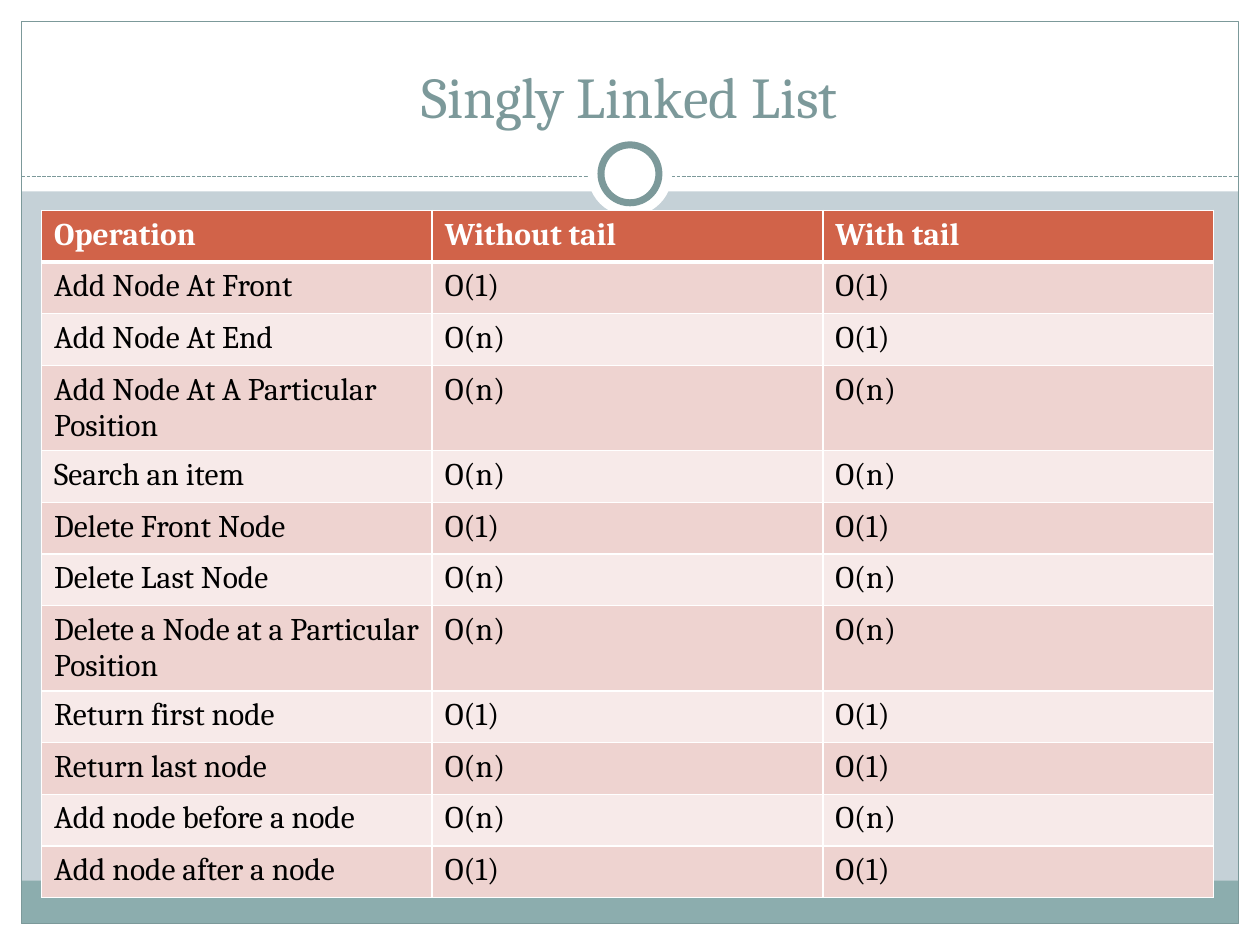
"""Build the slide that compares singly linked list costs with and without a tail."""
from dataclasses import dataclass
from typing import Any, Optional

from lxml.etree import SubElement
from pptx import Presentation
from pptx.dml.color import RGBColor
from pptx.enum.dml import MSO_LINE
from pptx.enum.shapes import MSO_CONNECTOR, MSO_SHAPE as Preset
from pptx.enum.text import MSO_ANCHOR, PP_ALIGN
from pptx.oxml.ns import qn
from pptx.util import Inches, Pt

WIDTH, HEIGHT = 10, 7.5
MARGIN = 0.17
INNER_WIDTH, INNER_HEIGHT = WIDTH - 2 * MARGIN, HEIGHT - 2 * MARGIN
DIVIDER_Y = 1.4
RING_Y = 1.38
TABLE_LEFT, TABLE_TOP = 0.33, 1.67
COLUMN_WIDTH, ROW_HEIGHT = 3.1, 0.41
FONT = "Cambria"

WHITE = RGBColor(0xFF, 0xFF, 0xFF)
BLACK = RGBColor(0x00, 0x00, 0x00)
BACKDROP = RGBColor(0xC5, 0xD1, 0xD7)
TEAL = RGBColor(0x7C, 0x99, 0x9A)
FOOTER_TEAL = RGBColor(0x8C, 0xAD, 0xAE)
HEADER_RUST = RGBColor(0xD1, 0x63, 0x49)
BANDS = RGBColor(0xF7, 0xEA, 0xE9), RGBColor(0xEE, 0xD3, 0xD0)

TITLE_FORMAT = {"name": FONT, "size": Pt(33), "bold": False}
HEADER_FORMAT = {"name": FONT, "size": Pt(18), "bold": True}
BODY_FORMAT = {"name": FONT, "size": Pt(18), "bold": False}


@dataclass(frozen=True)
class Panel:
    left: float
    top: float
    width: float
    height: float
    fill: Optional[RGBColor] = WHITE
    line_width: float = 0
    preset: Any = Preset.RECTANGLE


@dataclass(frozen=True)
class Cost:
    operation: str
    without_tail: str
    with_tail: str


def disc(diameter: float, line_width: float = 0) -> Panel:
    """Return a white disc centred on the divider ornament."""
    return Panel((WIDTH - diameter) / 2, RING_Y - diameter / 2, diameter, diameter,
                 line_width=line_width, preset=Preset.OVAL)


PANELS = (
    Panel(0, HEIGHT - MARGIN, WIDTH, MARGIN),
    Panel(0, 0, WIDTH, 1.52),
    Panel(0, 0, MARGIN, HEIGHT),
    Panel(WIDTH - MARGIN, 0, MARGIN, HEIGHT),
    Panel(MARGIN, 6.99, INNER_WIDTH, 0.34, FOOTER_TEAL),
    Panel(MARGIN, MARGIN, INNER_WIDTH, INNER_HEIGHT, None, 0.75),
)
RING = disc(0.67), disc(0.46, 4)

COSTS = (
    Cost("Operation", "Without tail", "With tail"),
    Cost("Add Node At Front", "O(1)", "O(1)"),
    Cost("Add Node At End", "O(n)", "O(1)"),
    Cost("Add Node At A Particular Position", "O(n)", "O(n)"),
    Cost("Search an item", "O(n)", "O(n)"),
    Cost("Delete Front Node", "O(1)", "O(1)"),
    Cost("Delete Last Node", "O(n)", "O(n)"),
    Cost("Delete a Node at a Particular Position", "O(n)", "O(n)"),
    Cost("Return first node", "O(1)", "O(1)"),
    Cost("Return last node", "O(n)", "O(1)"),
    Cost("Add node before a node", "O(n)", "O(n)"),
    Cost("Add node after a node", "O(1)", "O(1)"),
)


def write(frame: Any, wording: str, style: dict, color: RGBColor) -> None:
    """Put formatted wording into a text frame."""
    run = frame.paragraphs[0].add_run()
    run.text = wording
    for attribute, setting in style.items():
        setattr(run.font, attribute, setting)
    run.font.color.rgb = color


def draw_panel(slide: Any, panel: Panel) -> None:
    """Draw one flat decorative panel."""
    box = (Inches(n) for n in (panel.left, panel.top, panel.width, panel.height))
    shape = slide.shapes.add_shape(panel.preset, *box)
    shape.shadow.inherit = False
    if panel.fill is None:
        shape.fill.background()
    else:
        shape.fill.solid()
        shape.fill.fore_color.rgb = panel.fill
    if panel.line_width:
        shape.line.color.rgb = TEAL
        shape.line.width = Pt(panel.line_width)
    else:
        shape.line.fill.background()


def draw_divider(slide: Any) -> None:
    """Draw the dashed line below the title."""
    ends = (Inches(n) for n in (MARGIN, DIVIDER_Y, WIDTH - MARGIN, DIVIDER_Y))
    divider = slide.shapes.add_connector(MSO_CONNECTOR.STRAIGHT, *ends)
    divider.line.color.rgb = TEAL
    divider.line.width = Pt(0.75)
    divider.line.dash_style = MSO_LINE.SQUARE_DOT
    SubElement(divider._element.spPr, qn("a:effectLst"))


def place_title(slide: Any, wording: str) -> None:
    """Format the title placeholder and bring it in front of the panels."""
    title = slide.shapes.title
    box = {"left": 0.33, "top": 0.25, "width": 9.33, "height": 0.83}
    for attribute, length in box.items():
        setattr(title, attribute, Inches(length))
    title.text_frame.vertical_anchor = MSO_ANCHOR.BOTTOM
    title.text_frame.paragraphs[0].alignment = PP_ALIGN.CENTER
    write(title.text_frame, wording, TITLE_FORMAT, TEAL)
    slide.shapes._spTree.append(title._element)


def border(cell: Any, widths: dict[str, float]) -> None:
    """Give a cell white borders of the given widths in points."""
    properties = cell._tc.get_or_add_tcPr()
    for side, width in widths.items():
        edge = SubElement(properties, qn(f"a:ln{side}"), w=str(Pt(width)))
        paint = SubElement(edge, qn("a:solidFill"))
        SubElement(paint, qn("a:srgbClr"), val=str(WHITE))


def draw_costs(slide: Any, costs: tuple[Cost, ...]) -> None:
    """Draw the cost table with a header and banded rows."""
    box = (TABLE_LEFT, TABLE_TOP, 3 * COLUMN_WIDTH, len(costs) * ROW_HEIGHT)
    table = slide.shapes.add_table(len(costs), 3, *(Inches(n) for n in box)).table
    for column in table.columns:
        column.width = Inches(COLUMN_WIDTH)
    for index, cost in enumerate(costs):
        table.rows[index].height = Inches(ROW_HEIGHT)
        header = index == 0
        fill = HEADER_RUST if header else BANDS[index % 2]
        style, color = (HEADER_FORMAT, WHITE) if header else (BODY_FORMAT, BLACK)
        widths = {"L": 1, "R": 1, "T": 3 if index == 1 else 1, "B": 3 if header else 1}
        wordings = cost.operation, cost.without_tail, cost.with_tail
        for cell, wording in zip(table.rows[index].cells, wordings):
            border(cell, widths)
            cell.fill.solid()
            cell.fill.fore_color.rgb = fill
            write(cell.text_frame, wording, style, color)


def main() -> None:
    """Assemble and save the slide."""
    deck = Presentation()
    deck.slide_width, deck.slide_height = Inches(WIDTH), Inches(HEIGHT)
    slide = deck.slides.add_slide(deck.slide_layouts[5])
    slide.background.fill.solid()
    slide.background.fill.fore_color.rgb = BACKDROP
    for panel in PANELS:
        draw_panel(slide, panel)
    draw_divider(slide)
    for panel in RING:
        draw_panel(slide, panel)
    place_title(slide, "Singly Linked List")
    draw_costs(slide, COSTS)
    deck.save("out.pptx")


if __name__ == "__main__":
    main()
